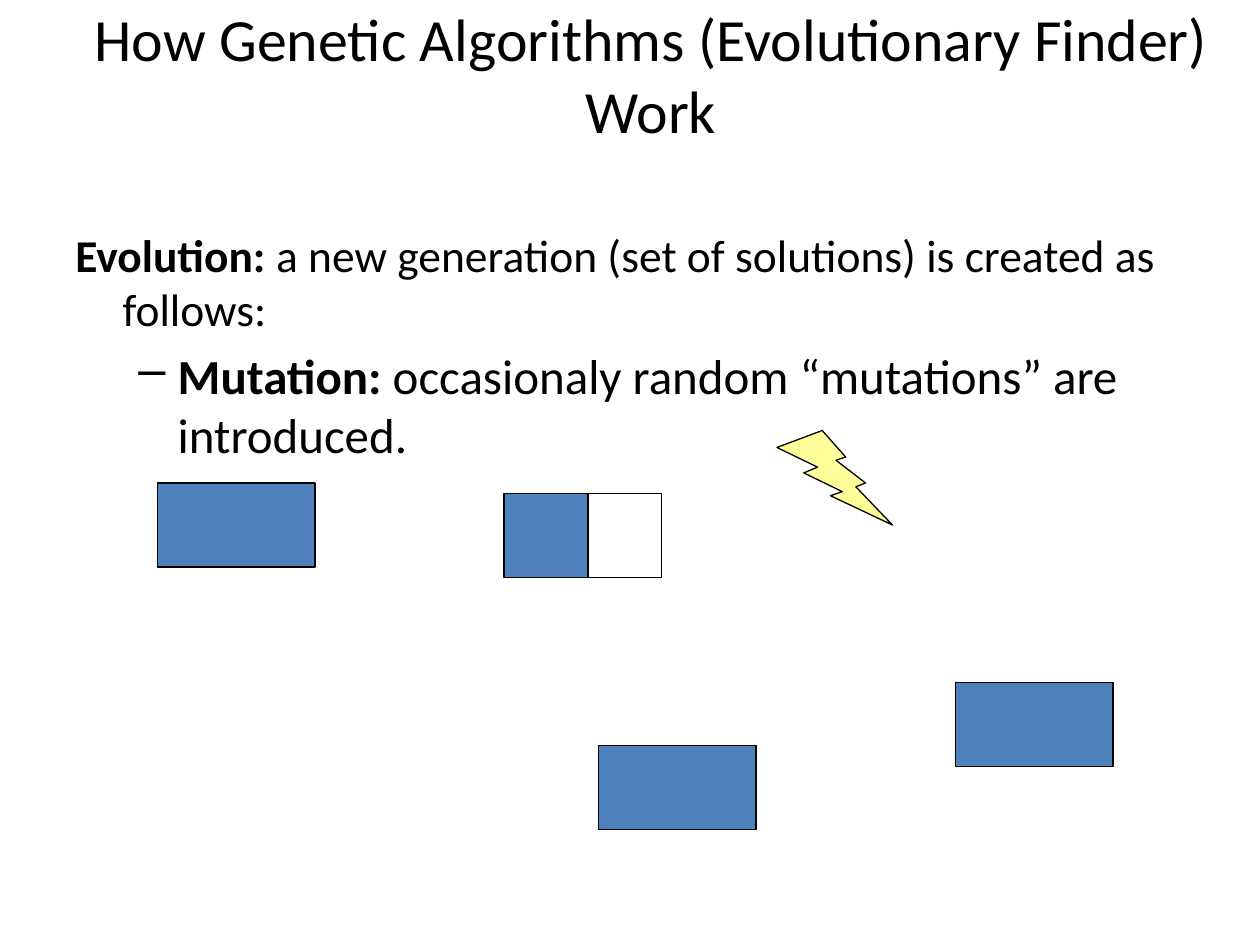
from pptx import Presentation
from pptx.dml.color import RGBColor
from pptx.enum.shapes import MSO_SHAPE as Shape
from pptx.enum.text import MSO_ANCHOR as Anchor, PP_ALIGN as Align
from pptx.oxml.ns import qn
from pptx.util import Pt
from lxml.etree import SubElement

BLACK = RGBColor(0x00, 0x00, 0x00)
BLUE = RGBColor(0x4F, 0x81, 0xBD)
YELLOW = RGBColor(0xFF, 0xFF, 0x99)
BLOCK_W, BLOCK_H = 90, 48


class SlideBuilder:
    font = "Calibri"
    line_width = 0.75

    def __init__(self, slide):
        self.slide = slide

    def text_box(self, x, y, w, h, anchor=Anchor.TOP):
        box = self.slide.shapes.add_textbox(Pt(x), Pt(y), Pt(w), Pt(h))
        tf = box.text_frame
        tf.word_wrap = True
        tf.vertical_anchor = anchor
        return tf

    def format_run(self, r, size, bold=False):
        r.font.name = self.font
        r.font.size = Pt(size)
        r.font.bold = bold
        r.font.color.rgb = BLACK

    def title(self, text, x, y, w, h, size):
        tf = self.text_box(x, y, w, h, Anchor.MIDDLE)
        tf.text = text
        p = tf.paragraphs[0]
        p.alignment = Align.CENTER
        self.format_run(p.runs[0], size)

    def term(self, p, name, text, size, margin, hanging, bullet=None):
        pPr = p._p.get_or_add_pPr()
        pPr.set("marL", str(Pt(margin)))
        pPr.set("indent", str(-Pt(hanging)))
        if bullet:
            SubElement(pPr, qn("a:buChar")).set("char", bullet)
        for part, bold in ((name, True), (text, False)):
            r = p.add_run()
            r.text = part
            self.format_run(r, size, bold)

    def shape(self, kind, x, y, w, h, fill=None, parent=None):
        shapes = (parent or self.slide).shapes
        sp = shapes.add_shape(kind, Pt(x), Pt(y), Pt(w), Pt(h))
        sp.shadow.inherit = False
        if fill is None:
            sp.fill.background()
        else:
            sp.fill.solid()
            sp.fill.fore_color.rgb = fill
        sp.line.color.rgb = BLACK
        sp.line.width = Pt(self.line_width)

    def split_block(self, x, y, left_w):
        group = self.slide.shapes.add_group_shape()
        self.shape(Shape.RECTANGLE, x, y, left_w, BLOCK_H, BLUE, group)
        self.shape(Shape.RECTANGLE, x + left_w, y, BLOCK_W - left_w, BLOCK_H,
                   parent=group)


def main():
    prs = Presentation()
    prs.slide_width, prs.slide_height = Pt(720), Pt(540)
    s = SlideBuilder(prs.slides.add_slide(prs.slide_layouts[6]))

    s.title("How Genetic Algorithms (Evolutionary Finder) Work",
            24, 18, 696, 48, 34.2)

    tf = s.text_box(36, 126, 648, 356)
    s.term(tf.paragraphs[0], "Evolution:",
           " a new generation (set of solutions) is created as follows:",
           26, 27, 27)
    p = tf.add_paragraph()
    p.space_before = Pt(5.6)
    s.term(p, "Mutation:", " occasionaly random “mutations” are introduced.",
           28, 58.5, 22.5, "–")

    for x, y in ((342, 426), (90, 276), (546, 390)):
        s.shape(Shape.RECTANGLE, x, y, BLOCK_W, BLOCK_H, BLUE)
    s.split_block(288, 282, 48)
    s.shape(Shape.LIGHTNING_BOLT, 444, 246, 66, 54, YELLOW)

    prs.save("out.pptx")


if __name__ == "__main__":
    main()
